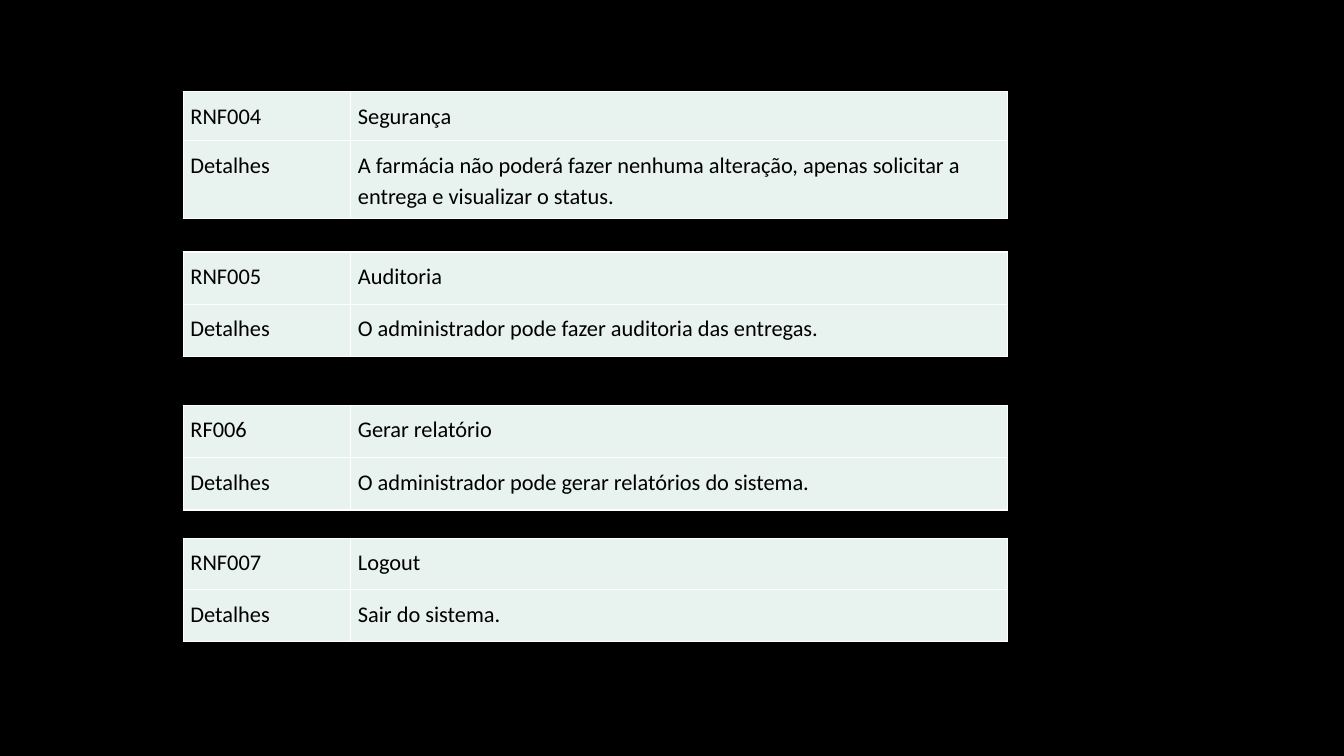
from lxml.etree import SubElement
from pptx import Presentation
from pptx.dml.color import RGBColor
from pptx.enum.text import PP_ALIGN
from pptx.oxml.ns import qn
from pptx.util import Cm, Pt

BLACK = RGBColor(0x00, 0x00, 0x00)
WHITE = RGBColor(0xFF, 0xFF, 0xFF)
MINT = RGBColor(0xE8, 0xF2, 0xEE)

TABLE_LEFT = Cm(4.62)
COLUMN_WIDTHS = (Cm(4.22), Cm(16.54))
PADDING = Cm(0.18)

CELL_FORMAT = {
    "margin_left": PADDING,
    "margin_right": PADDING,
    "margin_top": PADDING,
    "margin_bottom": PADDING,
}
FONT_FORMAT = {"name": "Calibri", "size": Pt(16), "bold": False}
PLAIN = {"line_spacing": 1.15, "alignment": PP_ALIGN.LEFT}
SPACED = {
    "line_spacing": 1.15,
    "alignment": PP_ALIGN.JUSTIFY,
    "space_before": Pt(12),
    "space_after": Pt(12),
}

# Top, row height, paragraph format, code, title, details
REQUIREMENTS = (
    (Cm(2.31), Cm(1.24), PLAIN, "RNF004", "Segurança",
     "A farmácia não poderá fazer nenhuma alteração, apenas solicitar a "
     "entrega e visualizar o status."),
    (Cm(6.35), Cm(1.32), SPACED, "RNF005", "Auditoria",
     "O administrador pode fazer auditoria das entregas."),
    (Cm(10.21), Cm(1.32), PLAIN, "RF006", "Gerar relatório",
     "O administrador pode gerar relatórios do sistema."),
    (Cm(13.56), Cm(1.3), PLAIN, "RNF007", "Logout", "Sair do sistema."),
)


def apply_format(target, values):
    """Set each attribute named in a dict of format values."""
    for name, value in values.items():
        setattr(target, name, value)


def add_borders(cell, color, width):
    """Draw a solid line on the four sides of a cell."""
    properties = cell._tc.get_or_add_tcPr()
    for side in ("a:lnL", "a:lnR", "a:lnT", "a:lnB"):
        line = SubElement(properties, qn(side), w=str(width))
        fill = SubElement(line, qn("a:solidFill"))
        SubElement(fill, qn("a:srgbClr"), val=str(color))


def fill_cell(cell, text, para_format):
    """Write and style one cell; borders precede the fill in the XML."""
    apply_format(cell, CELL_FORMAT)
    add_borders(cell, WHITE, Pt(1))
    cell.fill.solid()
    cell.fill.fore_color.rgb = MINT
    para = cell.text_frame.paragraphs[0]
    apply_format(para, para_format)
    span = para.add_run()
    span.text = text
    apply_format(span.font, FONT_FORMAT)
    span.font.color.rgb = BLACK


def add_requirement(page, top, row_height, para_format, code, title, details):
    """Add the two-row table of one requirement."""
    texts = ((code, title), ("Detalhes", details))
    table = page.shapes.add_table(
        len(texts), len(COLUMN_WIDTHS), TABLE_LEFT, top,
        sum(COLUMN_WIDTHS), row_height * len(texts)).table
    apply_format(table, {"first_row": False, "horz_banding": False})
    for column, width in zip(table.columns, COLUMN_WIDTHS):
        column.width = width
    for row, row_texts in zip(table.rows, texts):
        row.height = row_height
        for cell, text in zip(row.cells, row_texts):
            fill_cell(cell, text, para_format)


def main():
    """Build the page of requirement tables."""
    deck = Presentation()
    apply_format(deck, {"slide_width": Cm(33.87), "slide_height": Cm(19.05)})
    page = deck.slides.add_slide(deck.slide_layouts[6])
    page.background.fill.solid()
    page.background.fill.fore_color.rgb = BLACK
    for requirement in REQUIREMENTS:
        add_requirement(page, *requirement)
    deck.save("out.pptx")


main()
